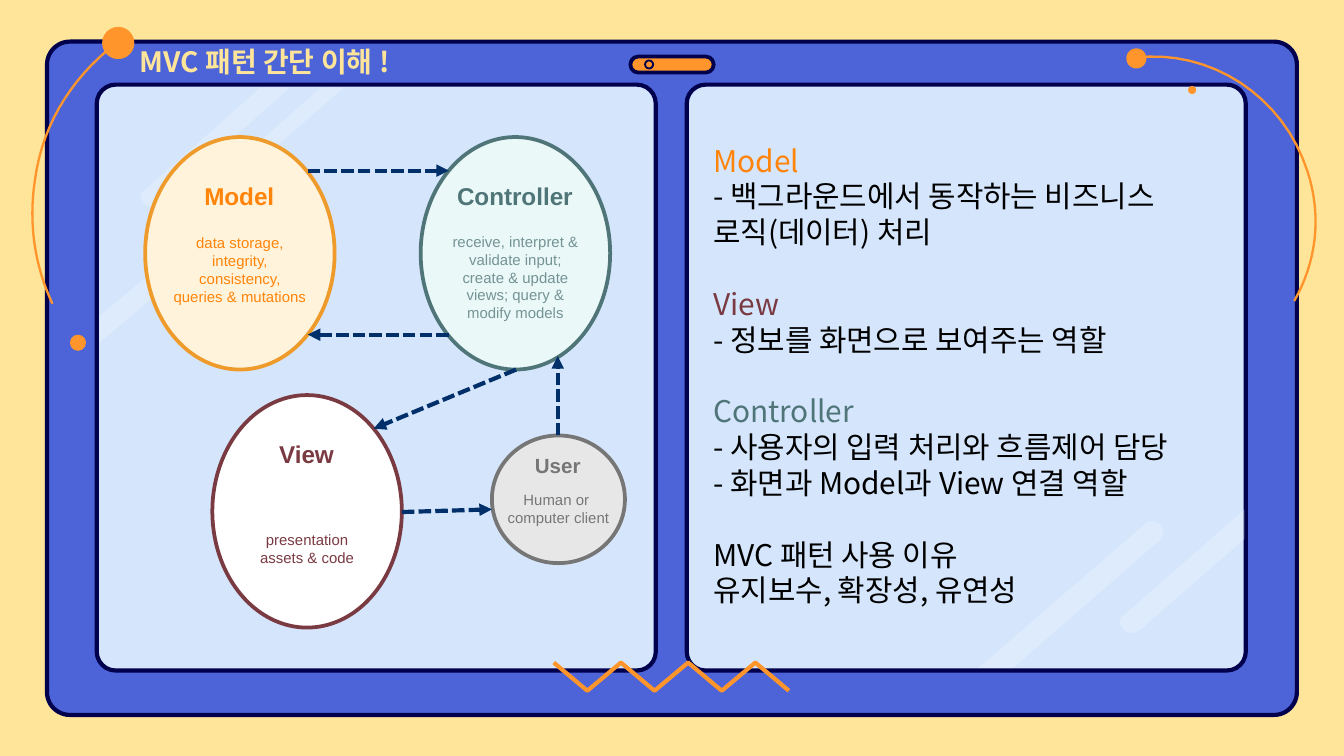
from pptx import Presentation
from pptx.dml.color import RGBColor
from pptx.enum import dml, shapes, text
from pptx.oxml import ns, xmlchemy
from pptx.util import Inches, Pt

COLORS = {
    "cream": "FFE599", "blue": "4C64D8", "navy": "00004D", "sky": "D5E6FC",
    "white": "FFFFFF", "orange": "FF952B", "black": "000000", "arrow": "002F6A",
    "model": "FF8409", "model_edge": "EE9B2C", "model_fill": "FFF3DB",
    "view": "7A3A42", "controller": "4F7578", "controller_fill": "EAF8F7",
    "controller_note": "749395", "user": "767676", "user_fill": "E7E7E7",
}
KOREAN = "Noto Sans CJK KR"
RIGHT_STREAKS = [
    [(8.57, 3.88), (8.6, 3.88, 8.62, 3.89, 8.64, 3.91), (8.66, 3.93, 8.66, 3.99, 8.63, 4.02),
     (7.54, 4.97), (7.28, 4.97), (8.52, 3.9), (8.53, 3.88, 8.55, 3.88, 8.57, 3.88)],
    [(8.43, 4.71), (8.39, 4.71, 8.37, 4.7, 8.36, 4.68), (8.32, 4.65, 8.32, 4.6, 8.37, 4.57),
     (9.26, 3.79), (9.26, 4.01), (8.48, 4.69), (8.46, 4.7, 8.44, 4.71, 8.43, 4.71)],
]
LEFT_STREAKS = [
    [(2.16, 0.65), (1.17, 1.53), (1.15, 1.54, 1.14, 1.54, 1.12, 1.54),
     (1.1, 1.54, 1.08, 1.53, 1.07, 1.52), (1.04, 1.49, 1.04, 1.44, 1.07, 1.42), (1.94, 0.65)],
    [(2.56, 0.65), (1.78, 1.33), (1.77, 1.35, 1.76, 1.35, 1.75, 1.35),
     (1.73, 1.35, 1.71, 1.34, 1.71, 1.33), (1.68, 1.31, 1.69, 1.27, 1.71, 1.25), (2.39, 0.65)],
    [(1.49, 1.75), (1.52, 1.75, 1.53, 1.76, 1.55, 1.77), (1.58, 1.8, 1.58, 1.85, 1.54, 1.88),
     (0.74, 2.55), (0.74, 2.35), (1.44, 1.77), (1.45, 1.76, 1.47, 1.75, 1.49, 1.75)],
]
SWEEPS = [
    [(0.39, 2.26), (0.26, 1.98, 0.21, 1.67, 0.26, 1.34), (0.32, 0.89, 0.57, 0.53, 0.92, 0.28)],
    [(8.44, 0.43), (9, 0.36, 9.55, 0.71, 9.73, 1.28), (9.84, 1.62, 9.79, 1.96, 9.63, 2.24)],
]
DOTS = [(0.76, 0.2, 0.24), (0.52, 2.49, 0.12), (8.38, 0.36, 0.15), (8.84, 0.64, 0.06)]
ARROWS = [
    (2.29, 1.27, 3.34, 1.27), (3.34, 2.49, 2.29, 2.49), (3.84, 2.75, 2.78, 3.19),
    (4.15, 3.24, 4.15, 2.65), (2.99, 3.81, 3.66, 3.79),
]
SUMMARY = [
    [("Model", "model"), ("- 백그라운드에서 동작하는 비즈니스 로직(데이터) 처리", "black")],
    [("View", "view"), ("- 정보를 화면으로 보여주는 역할", "black")],
    [("Controller", "controller"), ("- 사용자의 입력 처리와 흐름제어 담당", "black"),
     ("- 화면과 Model과 View 연결 역할", "black")],
    [("MVC 패턴 사용 이유", "black"), ("유지보수, 확장성, 유연성", "black")],
]


def rgb(color):
    """Look up a palette colour."""
    return RGBColor.from_string(COLORS[color])


def paint(shape, fill=None, edge=None, width=0):
    """Set fill and outline and drop the shadow."""
    shape.shadow.inherit = False
    for part, color in ((shape.fill, fill), (shape.line.fill, edge)):
        if color:
            part.solid()
            part.fore_color.rgb = rgb(color)
        else:
            part.background()
    if edge:
        shape.line.width = Pt(width)


def add_rounded(slide, box, fill, width, corner):
    """Add a rounded rectangle with a navy border."""
    panel = slide.shapes.add_shape(shapes.MSO_SHAPE.ROUNDED_RECTANGLE, *map(Inches, box))
    panel.adjustments[0] = corner
    paint(panel, fill, "navy", width)


def add_oval(slide, box, fill=None, edge=None, width=2):
    """Add an ellipse."""
    paint(slide.shapes.add_shape(shapes.MSO_SHAPE.OVAL, *map(Inches, box)), fill, edge, width)


def flatten(segments, steps=16):
    """Turn points and cubic curves into a list of points."""
    points = []
    for segment in segments:
        if len(segment) == 2:
            points.append(segment)
            continue
        controls = [points[-1], segment[:2], segment[2:4], segment[4:]]
        for t in (step / steps for step in range(1, steps + 1)):
            weights = ((1 - t) ** 3, 3 * t * (1 - t) ** 2, 3 * t * t * (1 - t), t ** 3)
            points.append([sum(w * c[axis] for w, c in zip(weights, controls))
                           for axis in (0, 1)])
    return points


def add_outline(slide, segments, close):
    """Build a freeform from points and curves."""
    points = [(Inches(x), Inches(y)) for x, y in flatten(segments)]
    builder = slide.shapes.build_freeform(*points[0])
    builder.add_line_segments(points[1:], close=close)
    return builder.convert_to_shape()


def add_streak(slide, segments):
    """Add a translucent white gleam."""
    streak = add_outline(slide, segments, True)
    paint(streak, "white")
    alpha = xmlchemy.OxmlElement("a:alpha")
    alpha.set("val", "20000")
    streak.element.spPr.find(ns.qn("a:solidFill"))[0].append(alpha)


def add_stroke(slide, segments, width):
    """Add an open orange line."""
    paint(add_outline(slide, segments, False), None, "orange", width)


def add_run(paragraph, words, font, size, color, bold=False):
    """Add one formatted run."""
    run = paragraph.add_run()
    run.text = words
    run.font.name, run.font.size, run.font.bold = font, Pt(size), bold
    run.font.color.rgb = rgb(color)
    east_asian = xmlchemy.OxmlElement("a:ea")
    east_asian.set("typeface", font)
    paragraph._p.findall(ns.qn("a:r"))[-1].rPr.append(east_asian)


def add_frame(slide, box):
    """Add a wrapping text box."""
    frame = slide.shapes.add_textbox(*map(Inches, box)).text_frame
    frame.word_wrap = True
    return frame


def add_label(slide, box, lines, size, color, bold=False):
    """Add centred text, one paragraph per line."""
    frame = add_frame(slide, box)
    for index, line in enumerate(lines):
        paragraph = frame.add_paragraph() if index else frame.paragraphs[0]
        paragraph.alignment = text.PP_ALIGN.CENTER
        add_run(paragraph, line, "Arial", size, color, bold)


def add_component(slide, left, top, name, note, note_box, fill, edge, color, note_color):
    """Add one of the large ovals with its note and heading."""
    add_oval(slide, (left, top, 1.41, 1.73), fill, edge)
    add_label(slide, (left + 0.11, note_box[0], 1.19, note_box[1]), note, 8, note_color)
    add_label(slide, (left + 0.16, top + 0.28, 1.08, 0.32), [name], 13, color, True)


def add_arrow(slide, ends):
    """Add a dashed arrow."""
    arrow = slide.shapes.add_connector(shapes.MSO_CONNECTOR.STRAIGHT, *map(Inches, ends))
    arrow.line.color.rgb = rgb("arrow")
    arrow.line.width = Pt(2.25)
    arrow.line.dash_style = dml.MSO_LINE.SQUARE_DOT
    tip = xmlchemy.OxmlElement("a:tailEnd")
    tip.set("type", "triangle")
    arrow.element.spPr.find(ns.qn("a:ln")).append(tip)
    arrow.element.spPr.append(xmlchemy.OxmlElement("a:effectLst"))


def add_summary(slide):
    """Add the explanation on the right panel."""
    frame = add_frame(slide, (5.21, 1.01, 3.93, 3.6))
    paragraph = frame.paragraphs[0]
    for section, lines in enumerate(SUMMARY):
        for index, (words, color) in enumerate(lines):
            if section or index:
                paragraph = frame.add_paragraph()
            paragraph.line_spacing = Pt(19.2)
            if section and not index:
                paragraph.space_before = Pt(19.2)
            add_run(paragraph, words, KOREAN, 16, color)


def set_title(slide, words):
    """Place the title in front of the frame."""
    title = slide.shapes.title
    title.left, title.top, title.width, title.height = map(Inches, (0.94, 0.23, 2.77, 0.4))
    frame = title.text_frame
    frame.auto_size = text.MSO_AUTO_SIZE.NONE
    frame.vertical_anchor = text.MSO_ANCHOR.TOP
    frame.margin_left = frame.margin_right = Inches(0.1)
    frame.margin_top = frame.margin_bottom = Inches(0.1)
    paragraph = frame.paragraphs[0]
    paragraph.alignment = text.PP_ALIGN.LEFT
    paragraph.line_spacing = Pt(18)
    add_run(paragraph, words, KOREAN, 15, "cream", True)
    title.element.getparent().append(title.element)


def add_tablet(slide):
    """Draw the framed panels and the orange ornaments."""
    add_rounded(slide, (0.35, 0.31, 9.3, 5.01), "blue", 2.25, 0.034)
    for left, streaks in ((5.11, RIGHT_STREAKS), (0.72, LEFT_STREAKS)):
        add_rounded(slide, (left, 0.63, 4.16, 4.36), "sky", 2.25, 0.034)
        for streak in streaks:
            add_streak(slide, streak)
    add_rounded(slide, (4.69, 0.42, 0.62, 0.12), "orange", 2, 0.5)
    add_oval(slide, (4.8, 0.45, 0.06, 0.06), None, "navy", 1)
    for sweep in SWEEPS:
        add_stroke(slide, sweep, 1.25)
    for left, top, size in DOTS:
        add_oval(slide, (left, top, size, size), "orange")
    add_stroke(slide, [(4.12 + 0.25 * i, 5.14 if i % 2 else 4.93) for i in range(8)], 2.25)


def main():
    """Build the slide."""
    deck = Presentation()
    deck.slide_width, deck.slide_height = Inches(10), Inches(5.625)
    slide = deck.slides.add_slide(deck.slide_layouts[5])
    slide.background.fill.solid()
    slide.background.fill.fore_color.rgb = rgb("cream")
    add_tablet(slide)
    add_summary(slide)
    add_component(slide, 1.08, 1.02, "Model",
                  ["data storage, integrity, consistency, queries & mutations"],
                  (1.69, 0.77), "model_fill", "model_edge", "model", "model")
    add_component(slide, 3.13, 1.02, "Controller",
                  ["receive, interpret & validate input; create & update views; query & modify models"],
                  (1.68, 0.77), "controller_fill", "controller", "controller", "controller_note")
    add_oval(slide, (3.66, 3.24, 0.99, 0.95), "user_fill", "user")
    add_label(slide, (3.72, 3.32, 0.86, 0.29), ["User"], 11, "user", True)
    add_label(slide, (3.66, 3.6, 0.99, 0.37), ["Human or ", "computer client"], 8, "user")
    add_component(slide, 1.58, 2.94, "View", ["presentation", "assets & code"],
                  (3.9, 0.37), "white", "view", "view", "view")
    for ends in ARROWS:
        add_arrow(slide, ends)
    set_title(slide, "MVC 패턴 간단 이해 !")
    deck.save("out.pptx")


if __name__ == "__main__":
    main()
